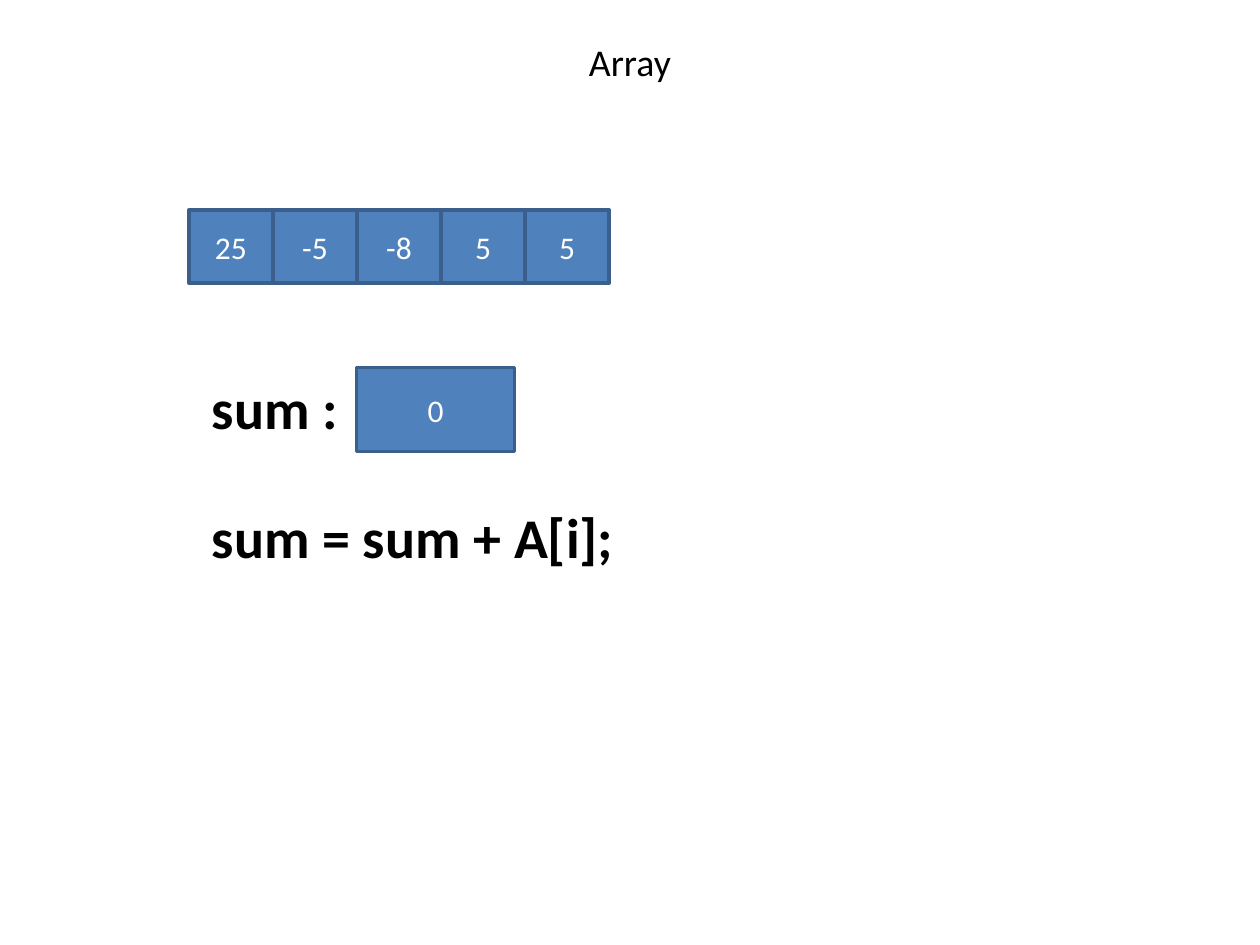
from dataclasses import dataclass

from pptx import Presentation
from pptx.dml.color import RGBColor
from pptx.enum.shapes import MSO_SHAPE
from pptx.enum.text import MSO_ANCHOR, PP_ALIGN
from pptx.util import Cm, Pt

RECTANGLE = MSO_SHAPE.RECTANGLE
MIDDLE, TOP = MSO_ANCHOR.MIDDLE, MSO_ANCHOR.TOP
CENTER, LEFT = PP_ALIGN.CENTER, PP_ALIGN.LEFT


@dataclass(frozen=True)
class Theme:
    """Colours, font and type sizes of the slide."""
    font: str = "Calibri"
    ink: RGBColor = RGBColor(0x00, 0x00, 0x00)
    cell_text: RGBColor = RGBColor(0xFF, 0xFF, 0xFF)
    cell_fill: RGBColor = RGBColor(0x4F, 0x81, 0xBD)
    cell_line: RGBColor = RGBColor(0x3A, 0x5F, 0x8C)
    line_width: Pt = Pt(2)
    title_size: Pt = Pt(21.6)
    cell_size: Pt = Pt(18)
    code_size: Pt = Pt(32)


THEME = Theme()


def write(shape, text, size, color, align, anchor, bold=False):
    """Put one line of styled text into a shape."""
    frame = shape.text_frame
    frame.vertical_anchor = anchor
    paragraph = frame.paragraphs[0]
    paragraph.text = text
    paragraph.alignment = align
    font = paragraph.font
    font.name, font.size, font.bold = THEME.font, size, bold
    font.color.rgb = color


def add_cell(shapes, left, top, width, height, value):
    """Draw one memory cell holding a value."""
    cell = shapes.add_shape(RECTANGLE, left, top, width, height)
    cell.shadow.inherit = False
    cell.fill.solid()
    cell.fill.fore_color.rgb = THEME.cell_fill
    cell.line.color.rgb = THEME.cell_line
    cell.line.width = THEME.line_width
    write(cell, value, THEME.cell_size, THEME.cell_text, CENTER, MIDDLE)


def add_code(shapes, left, top, width, height, text):
    """Add a bold line of code that does not wrap."""
    box = shapes.add_textbox(left, top, width, height)
    box.text_frame.word_wrap = False
    write(box, text, THEME.code_size, THEME.ink, LEFT, TOP, bold=True)


def add_title(slide, left, top, width, height, text):
    """Add the centred slide title."""
    title = slide.shapes.add_textbox(left, top, width, height)
    title.text_frame.word_wrap = True
    write(title, text, THEME.title_size, THEME.ink, CENTER, MIDDLE)


def add_array(slide, left, top, width, height, values):
    """Divide the box into equal, grouped cells, one for each value."""
    group = slide.shapes.add_group_shape()
    cell_width = width / len(values)
    for index, value in enumerate(values):
        cell_left = round(left + index * cell_width)
        add_cell(group.shapes, cell_left, top, round(cell_width), height, value)


def add_variable(slide, left, top, width, height, name, value):
    """Group a variable's name with the cell that holds its value."""
    group = slide.shapes.add_group_shape()
    cell_width = Cm(3.18)
    add_cell(group.shapes, left + width - cell_width, top, cell_width, height, value)
    add_code(group.shapes, left, top, Cm(3.07), Cm(1.62), name)


def main():
    """Build the array sum slide."""
    presentation = Presentation()
    presentation.slide_width, presentation.slide_height = Cm(25.4), Cm(19.05)
    slide = presentation.slides.add_slide(presentation.slide_layouts[6])
    add_title(slide, Cm(1.27), Cm(0.76), Cm(22.86), Cm(0.94), "Array")
    add_array(slide, Cm(3.81), Cm(4.23), Cm(8.47), Cm(1.48), ["25", "-5", "-8", "5", "5"])
    add_code(slide.shapes, Cm(4.02), Cm(10), Cm(8.69), Cm(1.62), "sum = sum + A[i];")
    add_variable(slide, Cm(4.02), Cm(7.41), Cm(6.35), Cm(1.69), "sum :", "0")
    presentation.save("out.pptx")


if __name__ == "__main__":
    main()
